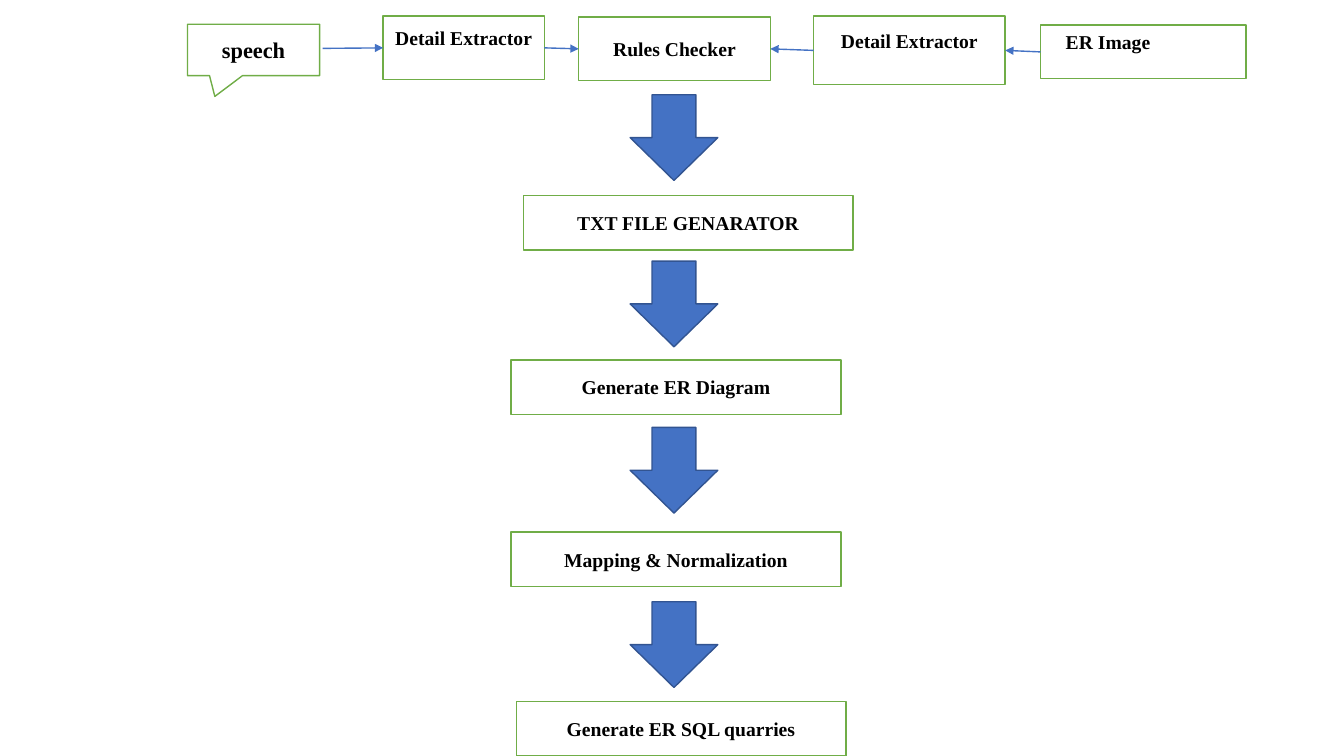
from lxml import etree
from pptx import Presentation
from pptx.dml.color import RGBColor
from pptx.enum.shapes import MSO_CONNECTOR, MSO_SHAPE
from pptx.enum.text import MSO_ANCHOR, PP_ALIGN
from pptx.oxml.ns import qn
from pptx.util import Inches, Pt

WHITE = RGBColor(0xFF, 0xFF, 0xFF)
BLACK = RGBColor(0x00, 0x00, 0x00)
GREEN = RGBColor(0x70, 0xAD, 0x47)
BLUE = RGBColor(0x44, 0x72, 0xC4)
DARK_BLUE = RGBColor(0x32, 0x54, 0x91)

LEFT_SIDE, RIGHT_SIDE = 1, 3
RAISED = 0.25  # bottom inset that lifts a label above the middle


class FlowSlide:
    font = "Times New Roman"
    line_width = Pt(1)

    def __init__(self, presentation):
        self.slide = presentation.slides.add_slide(presentation.slide_layouts[6])

    def add_shape(self, kind, left, top, width, height, fill, line):
        shape = self.slide.shapes.add_shape(
            kind, Inches(left), Inches(top), Inches(width), Inches(height))
        shape.shadow.inherit = False
        shape.fill.solid()
        shape.fill.fore_color.rgb = fill
        shape.line.color.rgb = line
        shape.line.width = self.line_width
        return shape

    def add_box(self, text, left, top, width, height, kind=MSO_SHAPE.RECTANGLE,
                size=14, align=PP_ALIGN.CENTER, left_inset=0.1, bottom_inset=0.05):
        box = self.add_shape(kind, left, top, width, height, WHITE, GREEN)
        frame = box.text_frame
        frame.word_wrap = True
        frame.vertical_anchor = MSO_ANCHOR.MIDDLE
        frame.margin_left = Inches(left_inset)
        frame.margin_bottom = Inches(bottom_inset)
        paragraph = frame.paragraphs[0]
        paragraph.alignment = align
        run = paragraph.add_run()
        run.text = text
        run.font.name = self.font
        run.font.size = Pt(size)
        run.font.bold = True
        run.font.color.rgb = BLACK
        return box

    def add_callout(self, text, left, top, width, height):
        callout = self.add_box(text, left, top, width, height,
                               kind=MSO_SHAPE.RECTANGULAR_CALLOUT, size=16)
        callout.adjustments[0] = -0.293
        callout.adjustments[1] = 0.905
        return callout

    def add_down_arrow(self, left, top, width, height):
        return self.add_shape(MSO_SHAPE.DOWN_ARROW, left, top, width, height, BLUE, DARK_BLUE)

    def add_arrow(self, start, end):
        connector = self.slide.shapes.add_connector(
            MSO_CONNECTOR.STRAIGHT, *(Inches(value) for value in (*start, *end)))
        connector.line.color.rgb = BLUE
        connector.line.width = self.line_width
        etree.SubElement(connector.line._get_or_add_ln(), qn("a:tailEnd"), type="triangle")
        etree.SubElement(connector._element.spPr, qn("a:effectLst"))
        return connector

    def join(self, source, source_side, target, target_side):
        """Draw an arrow attached to the given sides of two boxes."""
        connector = self.add_arrow((0, 0), (1, 0))
        connector.begin_connect(source, source_side)
        connector.end_connect(target, target_side)


def main():
    presentation = Presentation()
    presentation.slide_width = Inches(13.33)
    presentation.slide_height = Inches(7.5)
    flow = FlowSlide(presentation)

    speech_details = flow.add_box("Detail Extractor", 3.8, 0.16, 1.6, 0.63, bottom_inset=RAISED)
    rules_checker = flow.add_box("Rules Checker", 5.74, 0.17, 1.9, 0.63)
    image_details = flow.add_box("Detail Extractor", 8.07, 0.16, 1.9, 0.68, bottom_inset=RAISED)
    er_image = flow.add_box("ER Image", 10.32, 0.25, 2.04, 0.53, align=PP_ALIGN.LEFT,
                            left_inset=0.25, bottom_inset=RAISED)
    flow.add_callout("speech", 1.86, 0.24, 1.31, 0.51)

    speech_arrow = flow.add_arrow((3.2, 0.48), (3.8, 0.48))
    speech_arrow.end_connect(speech_details, LEFT_SIDE)
    flow.join(speech_details, RIGHT_SIDE, rules_checker, LEFT_SIDE)
    flow.join(image_details, LEFT_SIDE, rules_checker, RIGHT_SIDE)
    flow.join(er_image, LEFT_SIDE, image_details, RIGHT_SIDE)

    steps = [
        ("TXT FILE GENARATOR", 5.19, 1.94),
        ("Generate ER Diagram", 5.07, 3.57),
        ("Mapping & Normalization", 5.07, 5.28),
        ("Generate ER SQL quarries", 5.12, 6.96),
    ]
    for text, left, top in steps:
        flow.add_box(text, left, top, 3.27, 0.54)
    for top in (0.94, 2.59, 4.24, 5.97):
        flow.add_down_arrow(6.25, top, 0.87, 0.85)

    presentation.save("out.pptx")


if __name__ == "__main__":
    main()
